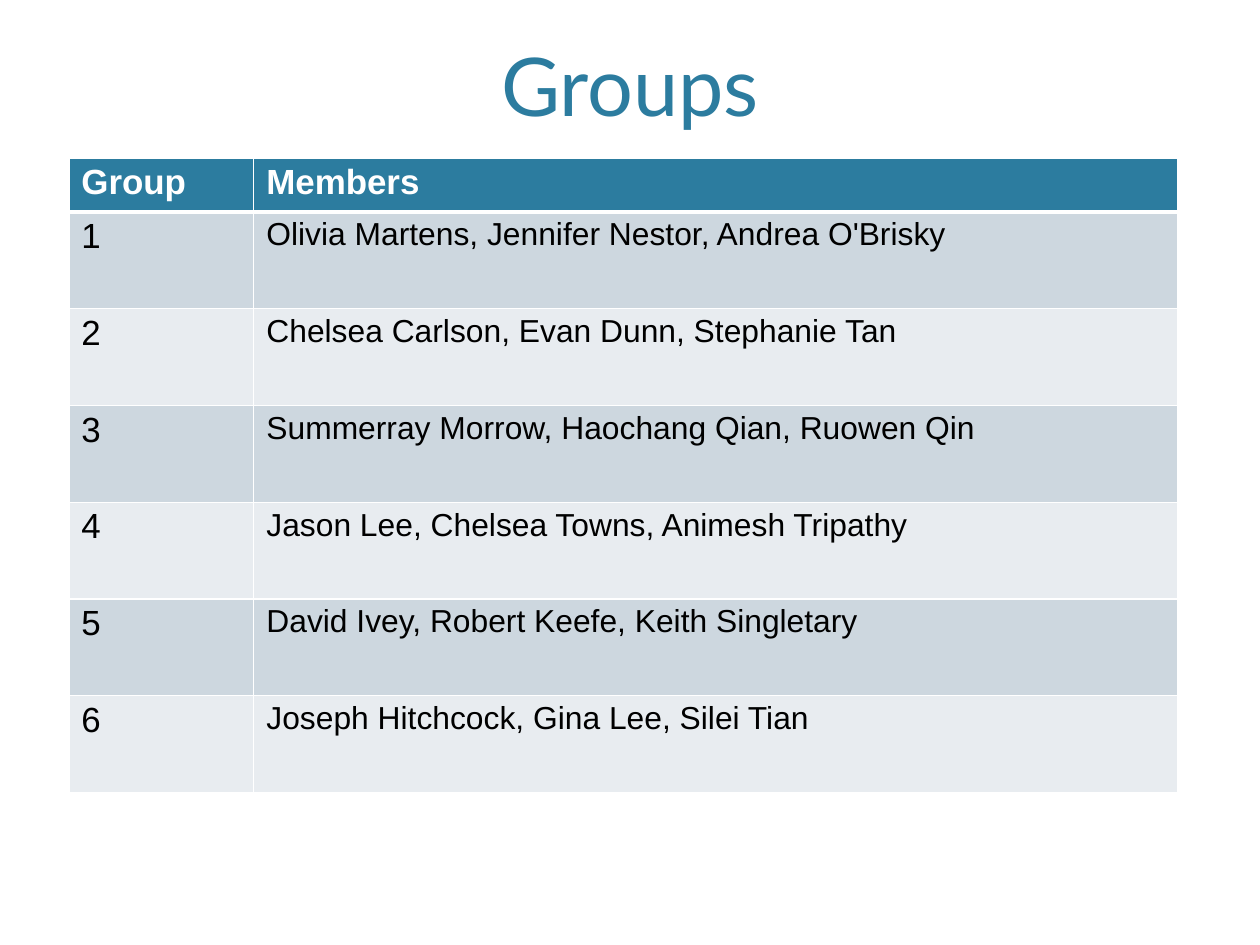
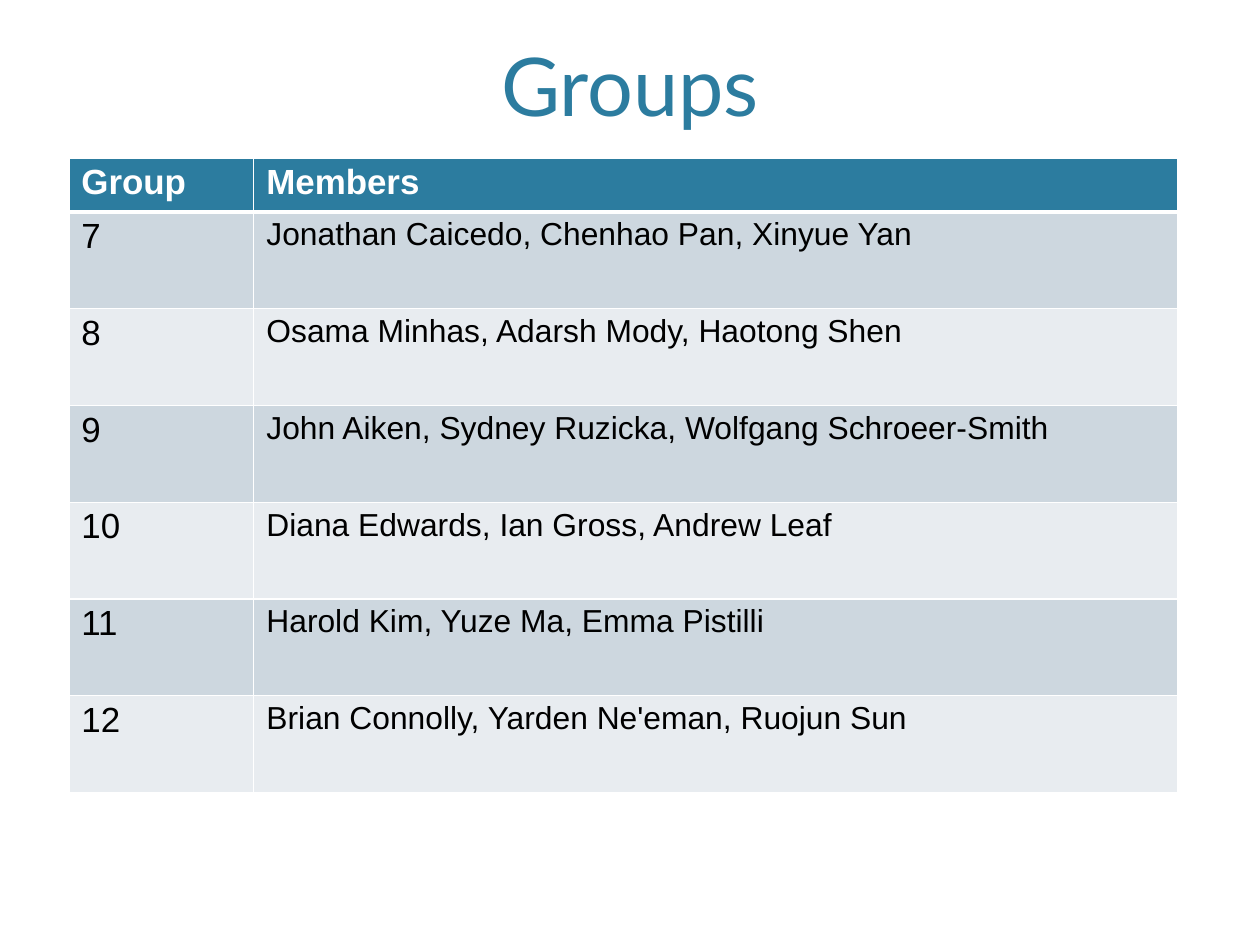
import pptx
import pptx.util
import pptx.dml.color
import pptx.enum.text
import pptx.oxml
import pptx.oxml.ns

Cm, Pt = pptx.util.Cm, pptx.util.Pt
COLORS = {"teal": "2C7C9F", "odd": "CDD7DF", "even": "E8ECF0", "white": "FFFFFF", "black": "000000"}
MARGINS = {"margin_left": Cm(0.28), "margin_right": Cm(0.28), "margin_top": Cm(0.15), "margin_bottom": Cm(0.15)}
FONTS = {
    "title": {"name": "Lato", "size": Pt(51), "bold": False},
    "header": {"name": "Arial", "size": Pt(22), "bold": True},
    "number": {"name": "Arial", "size": Pt(22), "bold": False},
    "members": {"name": "Arial", "size": Pt(20), "bold": False},
}


def rgb(color):
    return pptx.dml.color.RGBColor.from_string(COLORS[color])


def apply(target, values):
    for name, value in values.items():
        setattr(target, name, value)


class Deck:
    def __init__(self):
        self.prs = pptx.Presentation()
        apply(self.prs, {"slide_width": Cm(28), "slide_height": Cm(21)})

    def slide(self):
        self.current = self.prs.slides.add_slide(self.prs.slide_layouts[6])

    def text(self, tf, text, style, color, **layout):
        p = tf.paragraphs[0]
        apply(p, layout)
        r = p.add_run()
        r.text = text
        apply(r.font, FONTS[style])
        r.font.color.rgb = rgb(color)

    def title(self, text):
        sp = self.current.shapes.add_textbox(Cm(1.68), Cm(0.33), Cm(24.64), Cm(2.77))
        tf = sp.text_frame
        apply(tf, {"word_wrap": True, "vertical_anchor": pptx.enum.text.MSO_ANCHOR.BOTTOM, **MARGINS})
        self.text(tf, text, "title", "teal", alignment=pptx.enum.text.PP_ALIGN.CENTER)

    def borders(self, cell, widths):
        tc_pr = cell._tc.get_or_add_tcPr()
        for side, width in widths.items():
            tc_pr.append(pptx.oxml.parse_xml(
                f'<a:ln{side} {pptx.oxml.ns.nsdecls("a")} w="{Pt(width)}"><a:solidFill>'
                f'<a:srgbClr val="{COLORS["white"]}"/></a:solidFill></a:ln{side}>'))

    def cell(self, cell, text, style, color, fill, widths):
        apply(cell, MARGINS)
        self.borders(cell, widths)
        cell.fill.solid()
        cell.fill.fore_color.rgb = rgb(fill)
        self.text(cell.text_frame, text, style, color, line_spacing=0.96)

    def table(self, header, rows):
        heights = [Cm(1.2)] + [Cm(2.15)] * len(rows)
        widths = [Cm(4.11), Cm(20.52)]
        table = self.current.shapes.add_table(
            len(heights), len(widths), Cm(1.53), Cm(3.51), sum(widths), sum(heights)).table
        for column, width in zip(table.columns, widths):
            column.width = width
        for i, values in enumerate([header] + rows):
            table.rows[i].height = heights[i]
            lines = {"L": 1, "R": 1, "T": 3 if i == 1 else 1, "B": 3 if i == 0 else 1}
            fill = "teal" if i == 0 else "odd" if i % 2 else "even"
            styles = ("header", "header") if i == 0 else ("number", "members")
            for j, value in enumerate(values):
                self.cell(table.cell(i, j), value, styles[j], "black" if i else "white", fill, lines)


MEMBERS = [
    "Olivia Martens, Jennifer Nestor, Andrea O'Brisky",
    "Chelsea Carlson, Evan Dunn, Stephanie Tan",
    "Summerray Morrow, Haochang Qian, Ruowen Qin",
    "Jason Lee, Chelsea Towns, Animesh Tripathy",
    "David Ivey, Robert Keefe, Keith Singletary",
    "Joseph Hitchcock, Gina Lee, Silei Tian",
    "Jonathan Caicedo, Chenhao Pan, Xinyue Yan",
    "Osama Minhas, Adarsh Mody, Haotong Shen",
    "John Aiken, Sydney Ruzicka, Wolfgang Schroeer-Smith",
    "Diana Edwards, Ian Gross, Andrew Leaf",
    "Harold Kim, Yuze Ma, Emma Pistilli",
    "Brian Connolly, Yarden Ne'eman, Ruojun Sun",
]
GROUPS_PER_SLIDE = 6

groups = [(str(number), members) for number, members in enumerate(MEMBERS, 1)]
deck = Deck()
for start in range(0, len(groups), GROUPS_PER_SLIDE):
    deck.slide()
    deck.title("Groups")
    deck.table(("Group", "Members"), groups[start:start + GROUPS_PER_SLIDE])
deck.prs.save("out.pptx")
